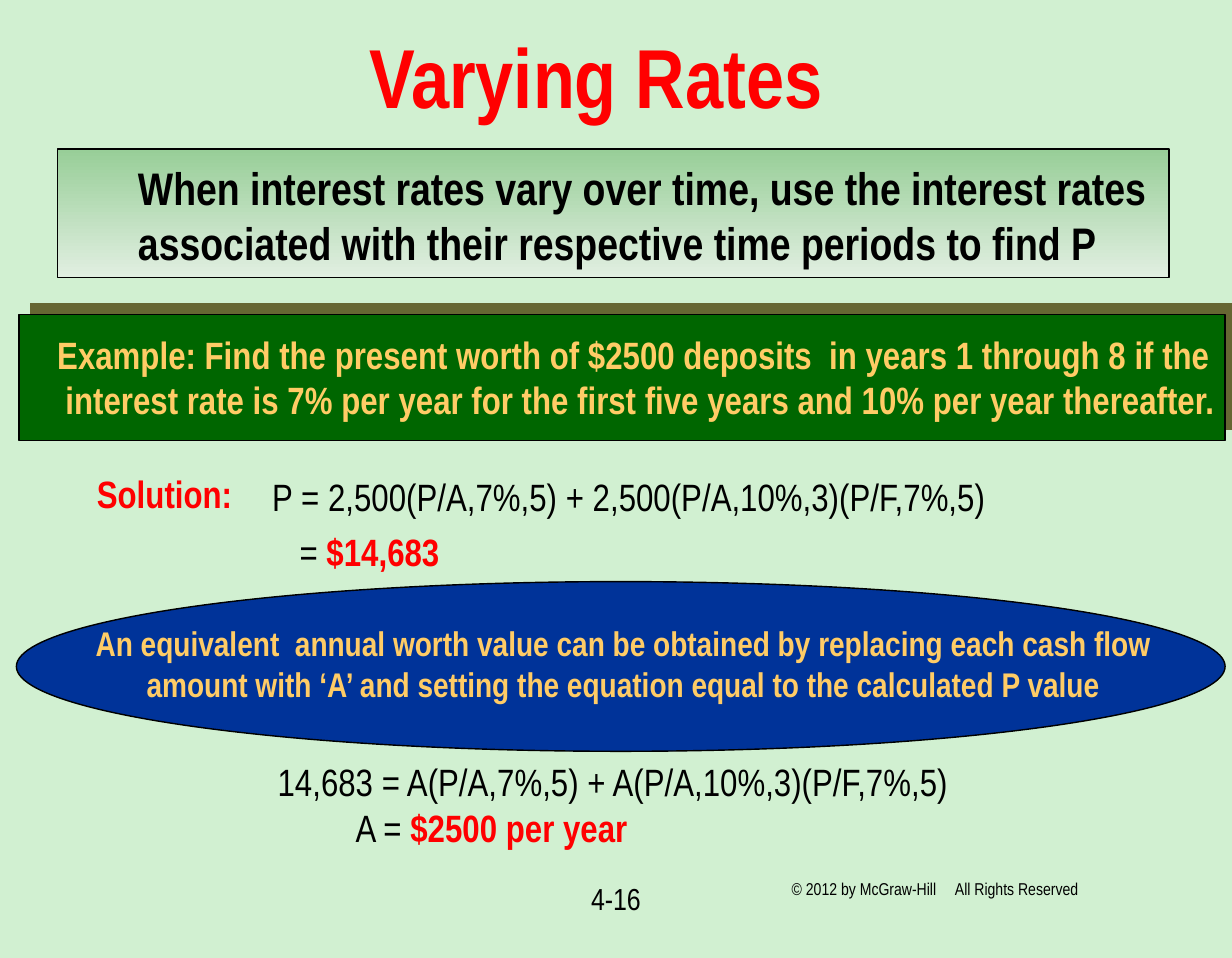
from lxml import etree
from pptx import Presentation
from pptx.dml.color import RGBColor
from pptx.enum.shapes import MSO_SHAPE
from pptx.enum.text import MSO_ANCHOR, MSO_AUTO_SIZE, PP_ALIGN
from pptx.oxml.ns import qn
from pptx.util import Emu, Pt

RECT, OVAL = MSO_SHAPE.RECTANGLE, MSO_SHAPE.OVAL
LEFT, MID = PP_ALIGN.LEFT, PP_ALIGN.CENTER
PX = 9144  # 100 px to the inch
FONT = "Arial Narrow"
HEX = {"back": "D1F0D1", "red": "FF0000", "black": "000000",
       "gold": "FFCC66", "green": "006600", "blue": "003399",
       "olive": "666633", "leaf": "98CE98", "mist": "E1EFE1"}

# Content: box, size, bold, colour, alignment, lines of runs
TITLE = ((53, 17, 765, 75), 44, True, "red", MID, [["Varying Rates"]])
RULE = ((91, 112, 780, 90), 24, True, "black", LEFT, [
    ["When interest rates vary over time, use the interest rates"],
    ["associated with their respective time periods to find P"]])
TASK = ((32, 237, 880, 77), 20, True, "gold", LEFT, [
    ["Example: Find the present worth of $2500 deposits  in years 1 through 8 if the"],
    ["interest rate is 7% per year for the first five years and 10% per year thereafter."]])
HINT = ((57, 450, 797, 70), 18, True, "gold", MID, [
    ["An equivalent  annual worth value can be obtained by replacing each cash flow"],
    ["amount with ‘A’ and setting the equation equal to the calculated P value"]])
# A second run on a line is the answer, in bold red
TEXTS = [
    ((61, 339, 130, 44), 20, True, "red", LEFT, [["Solution:"]]),
    ((189, 341, 580, 44), 20, False, "black", LEFT,
     [["P = 2,500(P/A,7%,5) + 2,500(P/A,10%,3)(P/F,7%,5)"]]),
    ((209, 381, 160, 44), 20, False, "black", LEFT, [["= ", "$14,683"]]),
    ((193, 549, 560, 44), 20, False, "black", LEFT,
     [["14,683 = A(P/A,7%,5) + A(P/A,10%,3)(P/F,7%,5)"]]),
    ((250, 583, 260, 44), 20, False, "black", LEFT, [["A = ", "$2500 per year"]]),
    ((390, 638, 120, 47), 16, False, "black", MID, [["4-16"]]),
    ((558, 637, 250, 29), 9, False, "black", MID,
     [["© 2012 by McGraw-Hill     All Rights Reserved"]]),
]


def rgb(name):
    return RGBColor.from_string(HEX[name])


def place(box):
    return [Emu(n * PX) for n in box]


def write(frame, size, bold, tint, align, lines):
    frame.word_wrap = True
    frame.auto_size = MSO_AUTO_SIZE.NONE
    for i, line in enumerate(lines):
        para = frame.paragraphs[0] if i == 0 else frame.add_paragraph()
        para.alignment = align
        font = para.font
        font.name, font.size, font.bold = FONT, Pt(size), bold
        font.color.rgb = rgb(tint)
        for j, words in enumerate(line):
            run = para.add_run()
            run.text = words
            if j:
                run.font.bold = True
                run.font.color.rgb = rgb("red")


def label(box, *style):
    frame = slide.shapes.add_textbox(*place(box)).text_frame
    write(frame, *style)
    return frame


def panel(kind, box, tint=None):
    shape = slide.shapes.add_shape(kind, *place(box))
    shape.shadow.inherit = False
    shape.line.color.rgb = rgb("black")
    shape.line.width = Pt(0.75)
    if tint:
        shape.fill.solid()
        shape.fill.fore_color.rgb = rgb(tint)
    return shape


deck = Presentation()
deck.slide_width, deck.slide_height = Emu(900 * PX), Emu(700 * PX)
slide = deck.slides.add_slide(deck.slide_layouts[5])
slide.background.fill.solid()
slide.background.fill.fore_color.rgb = rgb("back")

# Title
title = slide.shapes.title
title.left, title.top, title.width, title.height = place(TITLE[0])
title.text_frame.vertical_anchor = MSO_ANCHOR.MIDDLE
write(title.text_frame, *TITLE[1:])

# Rule on a shaded panel
fill = panel(RECT, (42, 109, 812, 94)).fill
fill.gradient()
fill.gradient_angle = 270
for stop, tint, spot in zip(fill.gradient_stops, ("leaf", "mist"), (0, 1)):
    stop.color.rgb = rgb(tint)
    stop.position = spot
label(*RULE)

# Example on a panel with a hard shadow up and to the right
card = panel(RECT, (14, 230, 881, 92), "green")
glow = etree.SubElement(
    card._element.spPr.find(qn("a:effectLst")), qn("a:outerShdw"),
    blurRad="0", dist=str(Pt(8.5)), dir=str(315 * 60000),
    algn="ctr", rotWithShape="0")
etree.SubElement(glow, qn("a:srgbClr"), val=HEX["olive"])
task = label(*TASK)
task.paragraphs[1]._p.get_or_add_pPr().set("marL", str(6 * PX))

# Hint in the oval
panel(OVAL, (12, 425, 883, 124), "blue")
label(*HINT)

# Solution, answers and footer
for item in TEXTS:
    label(*item)

deck.save("out.pptx")
